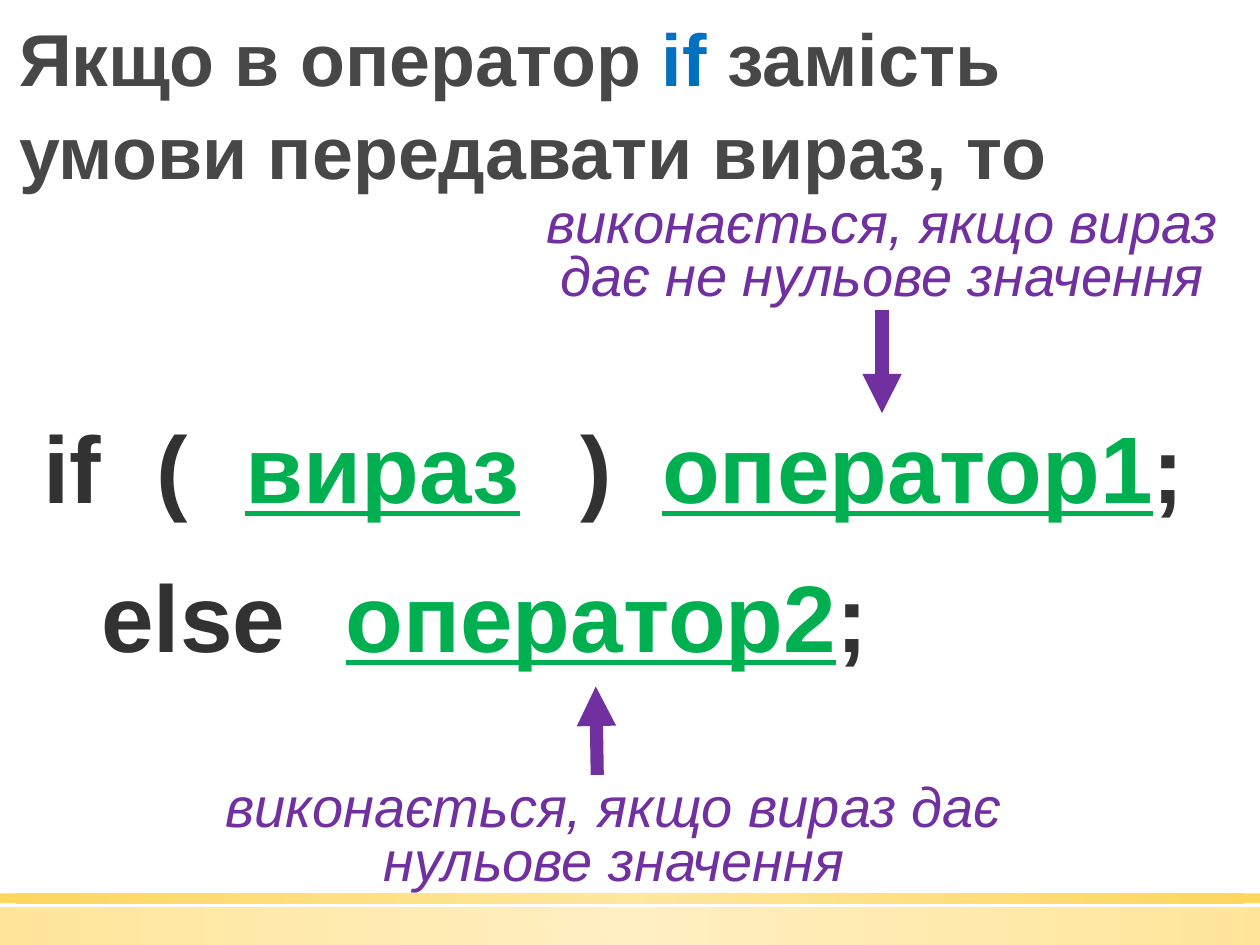
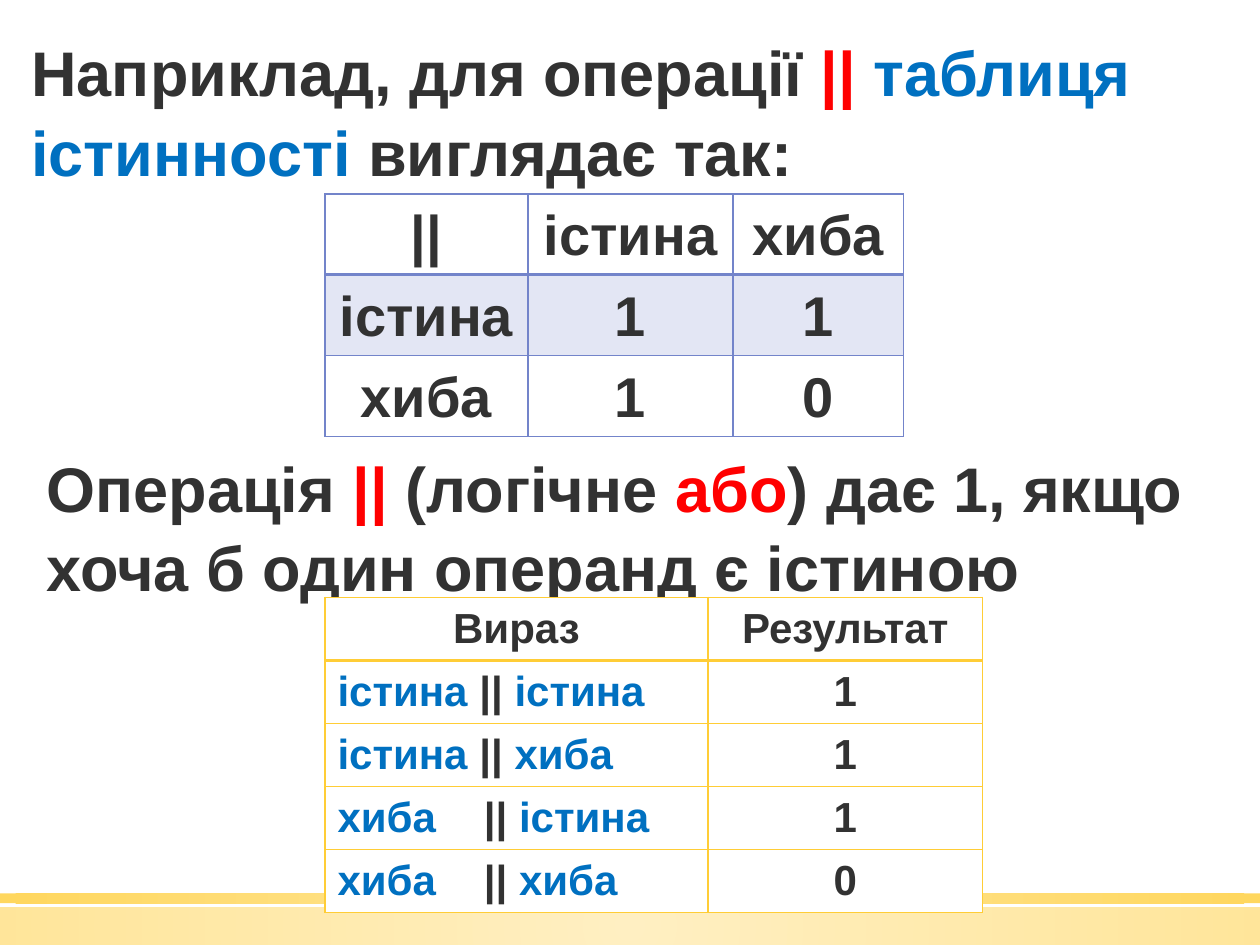
from dataclasses import dataclass

from lxml.etree import SubElement
from pptx import Presentation
from pptx.dml.color import RGBColor
from pptx.enum.shapes import MSO_CONNECTOR, MSO_SHAPE
from pptx.enum.text import MSO_ANCHOR, MSO_AUTO_SIZE, PP_ALIGN
from pptx.oxml import parse_xml
from pptx.oxml.ns import nsdecls, qn
from pptx.util import Cm, Pt


@dataclass(frozen=True)
class Theme:
    font: str = "Arial"
    dark: str = "323232"
    gray: str = "474747"
    blue: str = "0070C0"
    red: str = "FF0000"
    green: str = "00B050"
    plum: str = "7030A0"
    white: str = "FFFFFF"
    steel: str = "7384CA"
    pale: str = "E3E6F4"
    gold: str = "FFCD36"
    light: str = "FFE186"
    head: int = 42
    code: int = 54
    body: int = 36
    note: int = 32
    cell: int = 24
    arrow: float = 7.5


T = Theme()
LEFT = {"alignment": PP_ALIGN.LEFT, "line_spacing": 1.05, "space_before": Pt(0)}
MID = {**LEFT, "alignment": PP_ALIGN.CENTER}
TIGHT = {**MID, "line_spacing": 0.8}
LINED = {"underline": True}


def apply(item, form):
    for name, value in form.items():
        setattr(item, name, value)


def look(size, **more):
    return {"name": T.font, "size": Pt(size), **more}


def bold(size):
    return look(size, bold=True)


def put(frame, parts, font, para):
    line = frame.paragraphs[0]
    apply(line, para)
    for text, tint, *more in parts:
        run = line.add_run()
        run.text = text
        apply(run.font, font)
        for extra in more:
            apply(run.font, extra)
        run.font.color.rgb = RGBColor.from_string(tint)
    return line


def place(shape, box):
    apply(shape, dict(zip(("left", "top", "width", "height"), map(Cm, box))))


def fill_in(holder, box, parts, size):
    place(holder, box)
    frame = holder.text_frame
    apply(frame, {"word_wrap": True, "auto_size": MSO_AUTO_SIZE.NONE,
                  "vertical_anchor": MSO_ANCHOR.TOP})
    props = frame.paragraphs[0]._p.get_or_add_pPr()
    apply_xml(props, {"marL": 0, "indent": 0})
    SubElement(props, qn("a:buNone"))
    put(frame, parts, bold(size), LEFT)


def apply_xml(node, form):
    for name, value in form.items():
        node.set(name, str(value))


def add_rect(slide, box):
    shape = slide.shapes.add_shape(MSO_SHAPE.RECTANGLE, *map(Cm, box))
    shape.shadow.inherit = False
    shape.line.fill.background()
    shape.fill.solid()
    shape.fill.fore_color.rgb = RGBColor.from_string(T.white)
    return shape


def add_band(deck, slide, top, height, alpha):
    band = add_rect(slide, (0, top, 25.4, height))
    stops = "".join(
        f'<a:gs pos="{pos}"><a:srgbClr val="{tint}"><a:alpha val="{alpha}000"/>'
        f'</a:srgbClr></a:gs>' for pos, tint in ((0, T.light), (100000, T.gold)))
    grad = parse_xml(
        f'<a:gradFill {nsdecls("a")} rotWithShape="1"><a:gsLst>{stops}</a:gsLst>'
        '<a:path path="circle"><a:fillToRect l="50000" t="50000" r="50000" '
        'b="50000"/></a:path></a:gradFill>')
    solid = band.element.spPr.find(qn("a:solidFill"))
    solid.getparent().replace(solid, grad)
    deck.slide_master.shapes.element.insert(2, band.element)


def add_token(slide, left, top, width, parts):
    shape = add_rect(slide, (left, top, width, 2.57))
    put(shape.text_frame, parts, bold(T.code), MID)


def add_note(slide, box, text):
    frame = slide.shapes.add_textbox(*map(Cm, box)).text_frame
    frame.word_wrap = True
    put(frame, [(text, T.plum)], look(T.note, italic=True), TIGHT)


def add_arrow(slide, *ends):
    link = slide.shapes.add_connector(MSO_CONNECTOR.STRAIGHT, *map(Cm, ends))
    link.line.width = Pt(T.arrow)
    link.line.color.rgb = RGBColor.from_string(T.plum)
    SubElement(link.line._ln, qn("a:tailEnd"), type="triangle")
    SubElement(link.element.spPr, qn("a:effectLst"))


def add_edges(cell, tint, row):
    props = cell._tc.get_or_add_tcPr()
    thick = {"T": row == 1, "B": row == 0}
    for spot, side in enumerate("LRTB"):
        width = Pt(2 if thick.get(side) else 1)
        props.insert(spot, parse_xml(
            f'<a:ln{side} {nsdecls("a")} w="{width}"><a:solidFill>'
            f'<a:srgbClr val="{tint}"/></a:solidFill></a:ln{side}>'))


def add_tab(line, stop):
    tabs = SubElement(line._p.get_or_add_pPr(), qn("a:tabLst"))
    SubElement(tabs, qn("a:tab"), pos=str(Cm(stop)), algn="l")


def add_grid(slide, left, top, cols, high, rows, size, edge, anchor, fills):
    frame = slide.shapes.add_table(
        len(rows), len(cols), Cm(left), Cm(top), Cm(sum(cols)), Cm(high * len(rows)))
    grid = frame.table
    apply(grid, {"first_row": False, "horz_banding": False})
    for col, width in zip(grid.columns, cols):
        col.width = Cm(width)
    for r, row in enumerate(rows):
        grid.rows[r].height = Cm(high)
        for c, item in enumerate(row):
            cell = grid.cell(r, c)
            cell.vertical_anchor = anchor
            cell.fill.solid()
            cell.fill.fore_color.rgb = RGBColor.from_string(fills.get(r, T.white))
            add_edges(cell, edge, r)
            plain = isinstance(item, str)
            parts = [(item, T.dark)] if plain else item
            if not plain:
                add_tab(cell.text_frame.paragraphs[0], 2.95)
            put(cell.text_frame, parts, bold(size), MID if plain else LEFT)


def show_if(slide):
    fill_in(slide.shapes.title, (0.13, 0.05, 24.87, 4), [
        ("Якщо в оператор ", T.gray), ("if ", T.blue),
        ("замість умови передавати вираз, то", T.gray)], T.head)
    end = (";", T.dark)
    for left, top, width, parts in (
            (0.38, 8.05, 2.16, [("if", T.dark)]),
            (2.74, 8.05, 1.47, [("(", T.dark)]),
            (4.39, 8.05, 6.65, [("вираз", T.green, LINED)]),
            (11.33, 8.05, 1.4, [(")", T.dark)]),
            (13, 8.05, 11.23, [("оператор1", T.green, LINED), end]),
            (1.65, 11.05, 4.5, [("else", T.dark)]),
            (6.53, 11.05, 11.4, [("оператор2", T.green, LINED), end])):
        add_token(slide, left, top, width, parts)
    add_note(slide, (10.59, 3.91, 14.4, 2.44),
             "виконається, якщо вираз дає не нульове значення")
    add_arrow(slide, 17.78, 6.25, 17.78, 8.33)
    add_note(slide, (4.06, 15.7, 16.64, 2.44),
             "виконається, якщо вираз дає нульове значення")
    add_arrow(slide, 12.04, 15.62, 12.01, 13.84)


def show_or(slide):
    fill_in(slide.shapes.title, (0.38, 0.48, 25.02, 3.33), [
        ("Наприклад, для операції ", T.dark), ("|| ", T.red),
        ("таблиця істинності ", T.blue), ("виглядає так:", T.dark)], T.body)
    fill_in(slide.placeholders[1], (0.69, 8.86, 24.71, 3.33), [
        ("Операція ", T.dark), ("|| ", T.red), ("(логічне ", T.dark),
        ("або", T.red), (") дає 1, якщо хоча б один операнд є істиною", T.dark)],
        T.body)
    yes, no = "істина", "хиба"
    add_grid(slide, 6.55, 3.91, (4.09, 4.14, 3.43), 1.63,
             [("||", yes, no), (yes, "1", "1"), (no, "1", "0")],
             T.note, T.steel, MSO_ANCHOR.MIDDLE, {1: T.pale})
    rows = [("Вираз", "Результат")]
    for one, gap in ((yes, " "), (no, "\t")):
        for two in (yes, no):
            parts = [(one + gap, T.blue), ("|| ", T.dark), (two, T.blue)]
            rows.append((parts, "1" if yes in (one, two) else "0"))
    add_grid(slide, 6.55, 12.04, (7.72, 5.54), 1.27, rows,
             T.cell, T.gold, MSO_ANCHOR.TOP, {})


def main():
    deck = Presentation()
    apply(deck, {"slide_width": Cm(25.4), "slide_height": Cm(19.05)})
    first = deck.slides.add_slide(deck.slide_layouts[5])
    add_band(deck, first, 18.29, 0.76, 50)
    add_band(deck, first, 18.01, 0.2, 80)
    show_if(first)
    show_or(deck.slides.add_slide(deck.slide_layouts[1]))
    deck.save("out.pptx")


if __name__ == "__main__":
    main()
